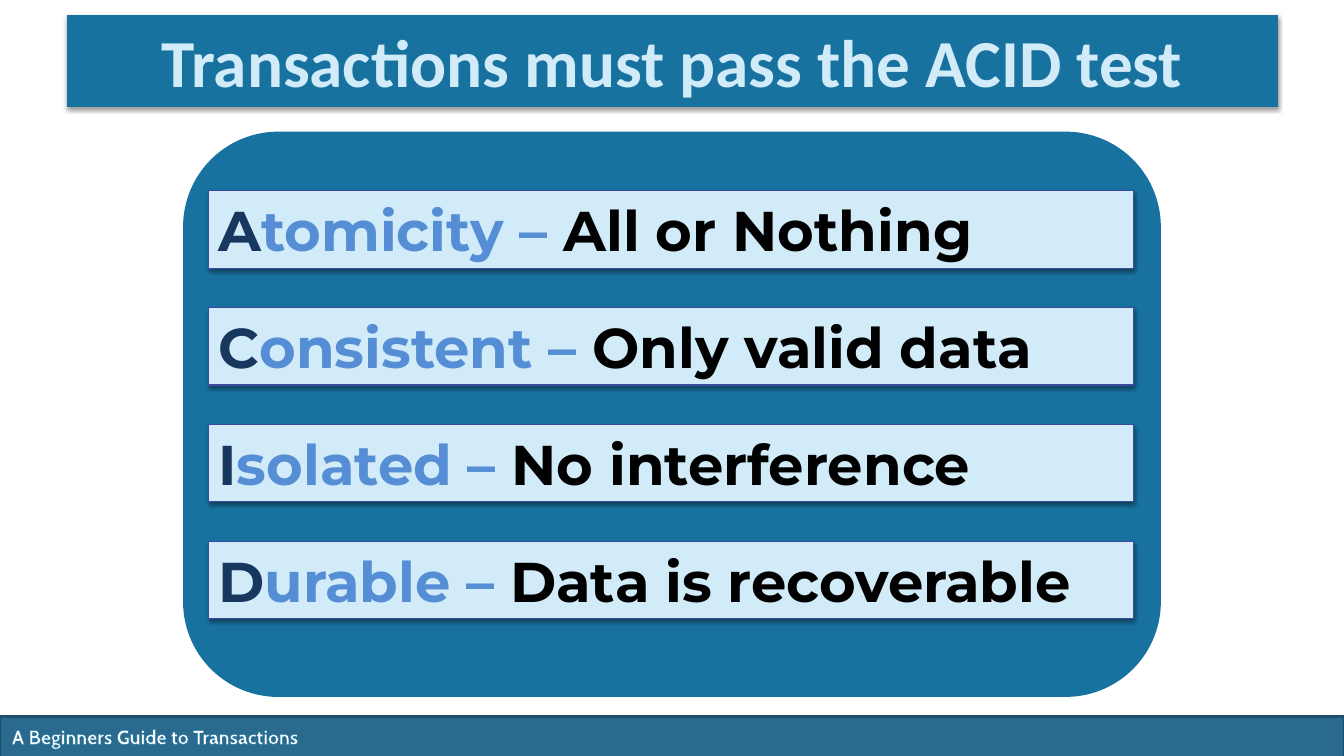
from dataclasses import dataclass

from lxml.etree import SubElement
from pptx import Presentation
from pptx.dml.color import RGBColor
from pptx.enum.shapes import MSO_SHAPE as Preset
from pptx.enum.text import MSO_ANCHOR as Anchor, PP_ALIGN as Align
from pptx.oxml.ns import qn
from pptx.shapes.autoshape import Shape
from pptx.slide import Slide
from pptx.text.text import _Paragraph as Paragraph, _Run as Run
from pptx.util import Inches, Pt

BLUE = RGBColor(0x18, 0x72, 0xA0)
PALE_BLUE = RGBColor(0xD1, 0xEB, 0xF8)
FOOTER_BLUE = RGBColor(0x29, 0x6A, 0x8E)
FOOTER_EDGE = RGBColor(0x1E, 0x4E, 0x69)
ROW_EDGE = RGBColor(0x3E, 0x49, 0x9F)
NAVY = RGBColor(0x17, 0x37, 0x5E)
SKY = RGBColor(0x55, 0x8E, 0xD5)
BLACK = RGBColor(0, 0, 0)
WHITE = RGBColor(0xFF, 0xFF, 0xFF)

ROW_LEFT, ROW_TOP, ROW_WIDTH, ROW_HEIGHT = 2.07, 1.89, 9.17, 0.77
ROW_PITCH = 1.16


@dataclass(frozen=True)
class Box:
    left: float
    top: float
    width: float
    height: float

    def lengths(self) -> list[int]:
        return [Inches(n) for n in (self.left, self.top, self.width, self.height)]


@dataclass(frozen=True)
class Style:
    fill: RGBColor
    line: RGBColor
    line_width: float
    preset: Preset = Preset.RECTANGLE
    shadow: bool = False


@dataclass(frozen=True)
class Property:
    initial: str
    rest: str
    meaning: str


PROPERTIES = [
    Property("A", "tomicity – ", "All or Nothing"),
    Property("C", "onsistent – ", "Only valid data"),
    Property("I", "solated – ", "No interference"),
    Property("D", "urable – ", "Data is recoverable"),
]
TITLE_STYLE = Style(BLUE, BLUE, 0.75, shadow=True)
PANEL_STYLE = Style(BLUE, BLUE, 2, Preset.ROUNDED_RECTANGLE)
ROW_STYLE = Style(PALE_BLUE, ROW_EDGE, 0.75, shadow=True)
FOOTER_STYLE = Style(FOOTER_BLUE, FOOTER_EDGE, 2)


def add_soft_shadow(shape: Shape) -> None:
    effects = shape.element.spPr.find(qn("a:effectLst"))
    shadow = SubElement(effects, qn("a:outerShdw"), blurRad=str(Pt(3.1)),
                        dist=str(Pt(1.6)), dir="5400000", rotWithShape="0")
    color = SubElement(shadow, qn("a:srgbClr"), val="000000")
    SubElement(color, qn("a:alpha"), val="38000")


def add_box(slide: Slide, box: Box, style: Style) -> Shape:
    shape = slide.shapes.add_shape(style.preset, *box.lengths())
    shape.fill.solid()
    shape.fill.fore_color.rgb = style.fill
    shape.line.color.rgb = style.line
    shape.line.width = Pt(style.line_width)
    shape.shadow.inherit = False
    if style.shadow:
        add_soft_shadow(shape)
    return shape


def start_text(shape: Shape, align: Align, anchor: Anchor) -> Paragraph:
    frame = shape.text_frame
    frame.word_wrap = True
    frame.vertical_anchor = anchor
    paragraph = frame.paragraphs[0]
    paragraph.alignment = align
    return paragraph


def add_run(paragraph: Paragraph, text: str, font: str, size: float,
            color: RGBColor) -> Run:
    run = paragraph.add_run()
    run.text = text
    run.font.name = font
    run.font.size = Pt(size)
    run.font.bold = True
    run.font.color.rgb = color
    return run


def outline_run(run: Run, color: RGBColor, width: float) -> None:
    properties = run._r.get_or_add_rPr()
    line = SubElement(properties, qn("a:ln"), w=str(Pt(width)))
    fill = SubElement(line, qn("a:solidFill"))
    SubElement(fill, qn("a:srgbClr"), val=str(color))
    properties.insert(0, line)  # the outline precedes the text fill


def add_footer(slide: Slide) -> None:
    add_box(slide, Box(0, 7.11, 13.33, 0.4), FOOTER_STYLE)
    label = slide.shapes.add_textbox(*Box(0.02, 7.14, 6.06, 0.34).lengths())
    paragraph = start_text(label, Align.LEFT, Anchor.TOP)
    run = add_run(paragraph, "A Beginners Guide to Transactions", "Cabin", 14, WHITE)
    outline_run(run, BLUE, 0.8)


def add_property(slide: Slide, index: int, item: Property) -> None:
    box = Box(ROW_LEFT, ROW_TOP + index * ROW_PITCH, ROW_WIDTH, ROW_HEIGHT)
    shape = add_box(slide, box, ROW_STYLE)
    paragraph = start_text(shape, Align.LEFT, Anchor.MIDDLE)
    for text, color in ((item.initial, NAVY), (item.rest, SKY), (item.meaning, BLACK)):
        add_run(paragraph, text, "Montserrat", 40, color)


def add_title(slide: Slide) -> None:
    shape = add_box(slide, Box(0.67, 0.15, 12, 0.91), TITLE_STYLE)
    paragraph = start_text(shape, Align.CENTER, Anchor.MIDDLE)
    add_run(paragraph, "Transactions must pass the ACID test", "Calibri", 48, PALE_BLUE)


def main() -> None:
    presentation = Presentation()
    presentation.slide_width = Inches(13.33)
    presentation.slide_height = Inches(7.5)
    slide = presentation.slides.add_slide(presentation.slide_layouts[6])

    # Footer band
    add_footer(slide)

    # Panel with the four properties
    add_box(slide, Box(1.83, 1.32, 9.67, 5.58), PANEL_STYLE)
    for index, item in enumerate(PROPERTIES):
        add_property(slide, index, item)

    # Title bar
    add_title(slide)

    presentation.save("out.pptx")


if __name__ == "__main__":
    main()
